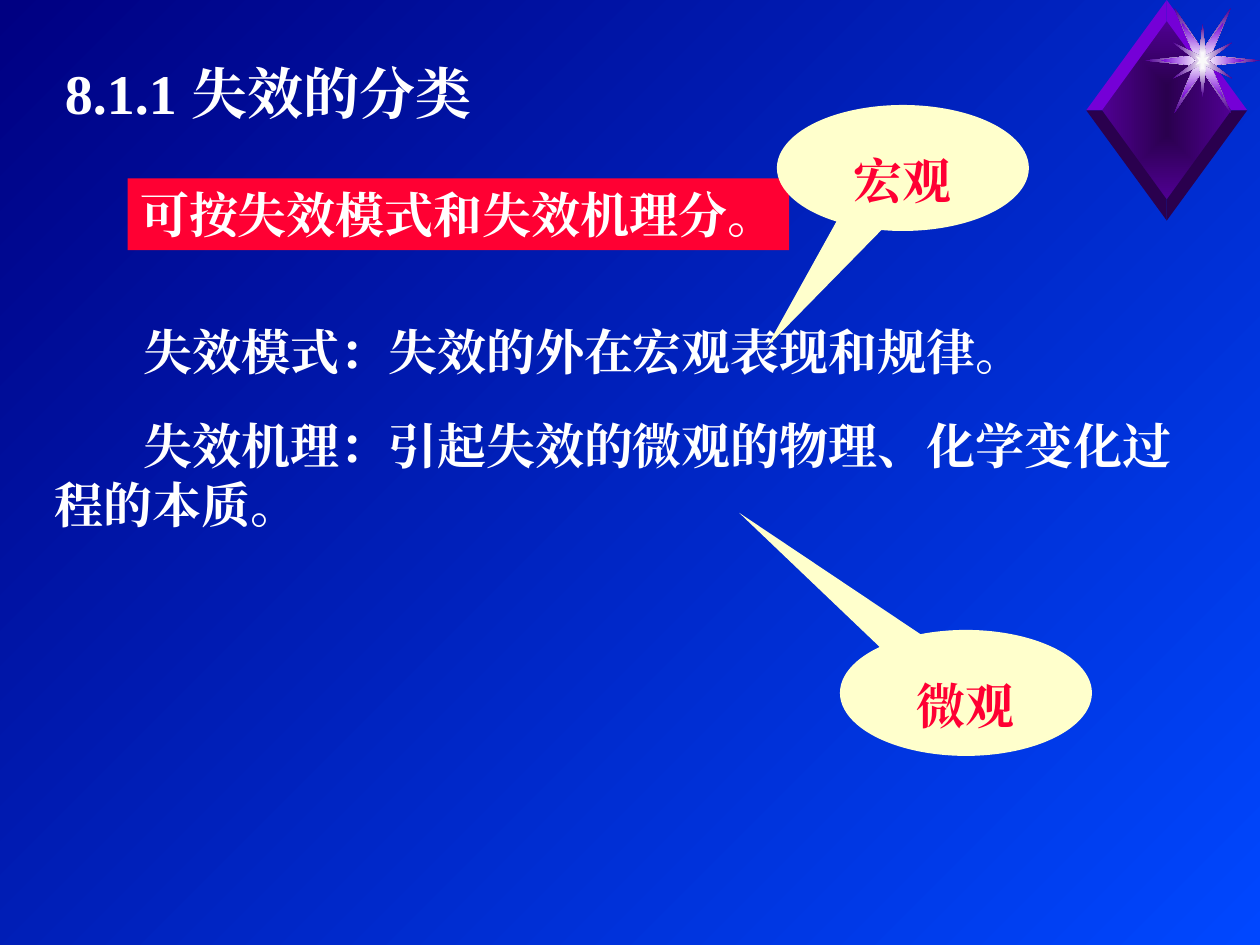
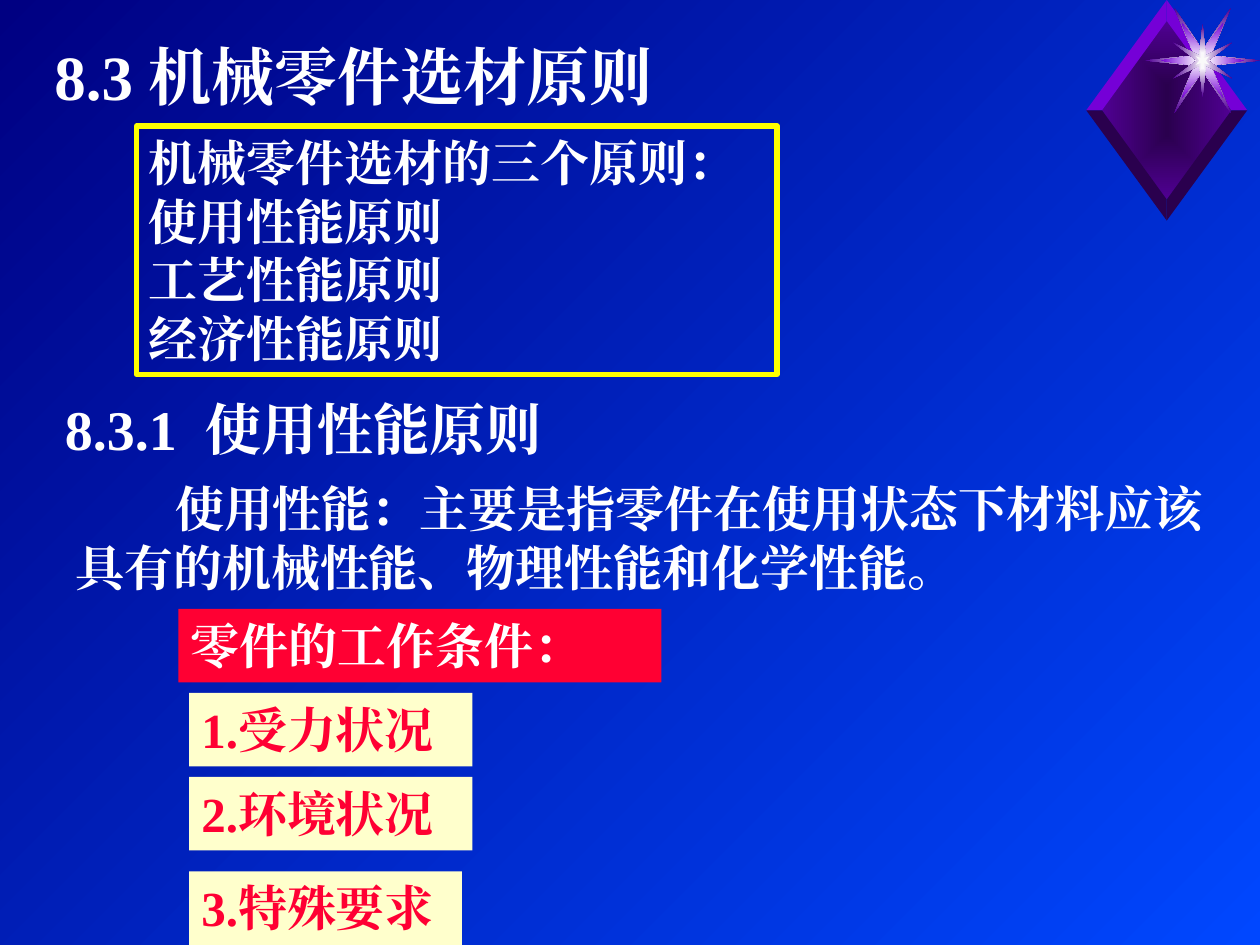
from itertools import product

from lxml.etree import SubElement
from pptx import Presentation
from pptx.dml.color import RGBColor
from pptx.enum.lang import MSO_LANGUAGE_ID as Language
from pptx.enum.shapes import MSO_SHAPE as Shape
from pptx.enum.text import MSO_ANCHOR as Anchor, PP_ALIGN as Align
from pptx.oxml.ns import qn
from pptx.util import Pt

# Shared style
FONT = "Times New Roman"
WHITE = RGBColor(0xFF, 0xFF, 0xFF)
RED = RGBColor(0xFF, 0x00, 0x33)
CREAM = RGBColor(0xFF, 0xFF, 0xCC)
YELLOW = RGBColor(0xFF, 0xFF, 0x00)
BLUE = RGBColor(0x00, 0x47, 0xFF)
NAVY = RGBColor(0x00, 0x00, 0x82)
VIOLET = RGBColor(0x75, 0x00, 0xD7)
PURPLE = RGBColor(0x50, 0x00, 0x93)
DARK_PURPLE = RGBColor(0x2A, 0x00, 0x4E)
SPARK = RGBColor(0xF9, 0xF9, 0xF9)

# Gem ornament: centres, half sizes and one quarter of each star
GEM_CENTER = (666.7, 63)
GEM_OUTER = (46, 63)
GEM_INNER = (37, 51)
STAR_CENTER = (687.2, 34.6)
STARS = [
    ([(32.8, 0), (4.7, 2.9), (16.2, 30.2), (0, 5.8)], (WHITE, PURPLE)),
    ([(23.8, 0), (4.7, 2.9), (11.9, 21.6), (0, 5.8)], (WHITE, VIOLET)),
    ([(3.2, 0), (17, 10.3), (1.8, 2.9), (0, 20.9)], (WHITE, PURPLE)),
    ([(1.8, 0), (4, 2.5), (0.7, 1.4), (0, 5)], (SPARK,)),
]


def set_stops(fill, colors):
    fill.gradient()
    for stop, color in zip(fill.gradient_stops, colors):
        stop.color.rgb = color


def fill_from_center(shape, colors):
    """Gradient that runs from the middle of the shape to its edges."""
    set_stops(shape.fill, colors)
    gradient = shape._element.spPr.find(qn("a:gradFill"))
    gradient.remove(gradient.find(qn("a:lin")))
    route = SubElement(gradient, qn("a:path"), path="rect")
    SubElement(route, qn("a:fillToRect"), l="50000", t="50000", r="50000", b="50000")


def add_polygon(page, center, points, colors):
    x, y = center
    corners = [(Pt(x + dx), Pt(y + dy)) for dx, dy in points]
    builder = page.shapes.build_freeform(*corners[0])
    builder.add_line_segments(corners[1:], close=True)
    shape = builder.convert_to_shape()
    shape.shadow.inherit = False
    shape.line.fill.background()
    if len(colors) == 2:
        fill_from_center(shape, colors)
    else:
        shape.fill.solid()
        shape.fill.fore_color.rgb = colors[0]


def mirror(quarter):
    """Complete a star outline from its quarter."""
    half = quarter + [(-x, y) for x, y in reversed(quarter[:-1])]
    return half + [(-x, -y) for x, y in half[1:-1]]


def add_gem(page):
    width, height = GEM_INNER
    outer_width, outer_height = GEM_OUTER
    add_polygon(page, GEM_CENTER, mirror([(width, 0), (0, height)]), (DARK_PURPLE, PURPLE))
    for side, end in product((1, -1), (-1, 1)):
        facet = [(0, end * height), (0, end * outer_height),
                 (side * outer_width, 0), (side * width, 0)]
        add_polygon(page, GEM_CENTER, facet, (VIOLET if end < 0 else DARK_PURPLE,))
    for quarter, colors in STARS:
        add_polygon(page, STAR_CENTER, mirror(quarter), colors)


def add_page(deck):
    page = deck.slides.add_slide(deck.slide_layouts[6])
    set_stops(page.background.fill, (BLUE, NAVY))
    page.background.fill.gradient_angle = 135
    add_gem(page)
    return page


def write(shape, text, size=28, color=WHITE, align=Align.LEFT, spacing=None,
          indent=0, wrap=True):
    """Fill a shape with text, one paragraph a line."""
    frame = shape.text_frame
    frame.word_wrap = wrap
    frame.vertical_anchor = Anchor.TOP
    for number, line in enumerate(text.split("\n")):
        para = frame.add_paragraph() if number else frame.paragraphs[0]
        para.alignment = align
        para.line_spacing = spacing
        if indent:
            para._p.get_or_add_pPr().set("indent", str(Pt(indent)))
        span = para.add_run()
        span.text = line
        span.font.name = FONT
        span.font.size = Pt(size)
        span.font.bold = True
        span.font.color.rgb = color
        span.font.language_id = Language.SIMPLIFIED_CHINESE
        SubElement(span._r.rPr, qn("a:ea"), typeface=FONT)


def add_text(page, text, left, top, width, height, **style):
    box = page.shapes.add_textbox(Pt(left), Pt(top), Pt(width), Pt(height))
    write(box, text, **style)


def add_panel(page, text, left, top, width, height, fill=None, line=None,
              kind=Shape.RECTANGLE, **style):
    panel = page.shapes.add_shape(kind, Pt(left), Pt(top), Pt(width), Pt(height))
    panel.shadow.inherit = False
    if fill:
        panel.fill.solid()
        panel.fill.fore_color.rgb = fill
    else:
        panel.fill.background()
    if line:
        panel.line.color.rgb = line
        panel.line.width = Pt(3)
    else:
        panel.line.fill.background()
    write(panel, text, **style)
    return panel


def add_callout(page, text, left, top, tip):
    callout = add_panel(page, text, left, top, 144, 72, fill=CREAM,
                        kind=Shape.OVAL_CALLOUT, color=RED,
                        align=Align.CENTER, spacing=1.35)
    callout.adjustments[0], callout.adjustments[1] = tip


def build_failure_types(deck):
    page = add_page(deck)
    add_text(page, "8.1.1 失效的分类", 30, 30, 336, 60, size=32)
    add_text(page, "失效模式：失效的外在宏观表现和规律。", 24, 180, 636, 42, indent=51)
    add_panel(page, "可按失效模式和失效机理分。", 73, 102, 378, 41, fill=RED, wrap=False)
    add_text(page, "失效机理：引起失效的微观的物理、化学变化过程的本质。",
             24, 234, 666, 84, indent=51)
    add_callout(page, "宏观", 444, 60, (-0.54, 1.42))
    add_callout(page, "微观", 480, 360, (-0.9, -1.43))


def build_selection_principles(deck):
    page = add_page(deck)
    add_text(page, "8.3 机械零件选材原则", 24, 18, 372, 60, size=36)
    add_panel(page, "机械零件选材的三个原则：\n使用性能原则\n工艺性能原则\n经济性能原则",
              78, 72, 366, 142, line=YELLOW)
    add_text(page, "8.3.1  使用性能原则", 30, 222, 306, 60, size=32)
    add_text(page, "使用性能：主要是指零件在使用状态下材料应该具有的机械性能、物理性能和化学性能。",
             36, 270, 672, 72, indent=57)

    # Working conditions
    add_panel(page, "零件的工作条件：", 102, 348, 276, 42, fill=RED)
    conditions = [("1.受力状况", 396, 162), ("2.环境状况", 444, 162), ("3.特殊要求", 498, 156)]
    for text, top, width in conditions:
        add_panel(page, text, 108, top, width, 42, fill=CREAM, color=RED)


def main():
    deck = Presentation()
    deck.slide_width, deck.slide_height = Pt(720), Pt(540)
    build_failure_types(deck)
    build_selection_principles(deck)
    deck.save("out.pptx")


if __name__ == "__main__":
    main()
